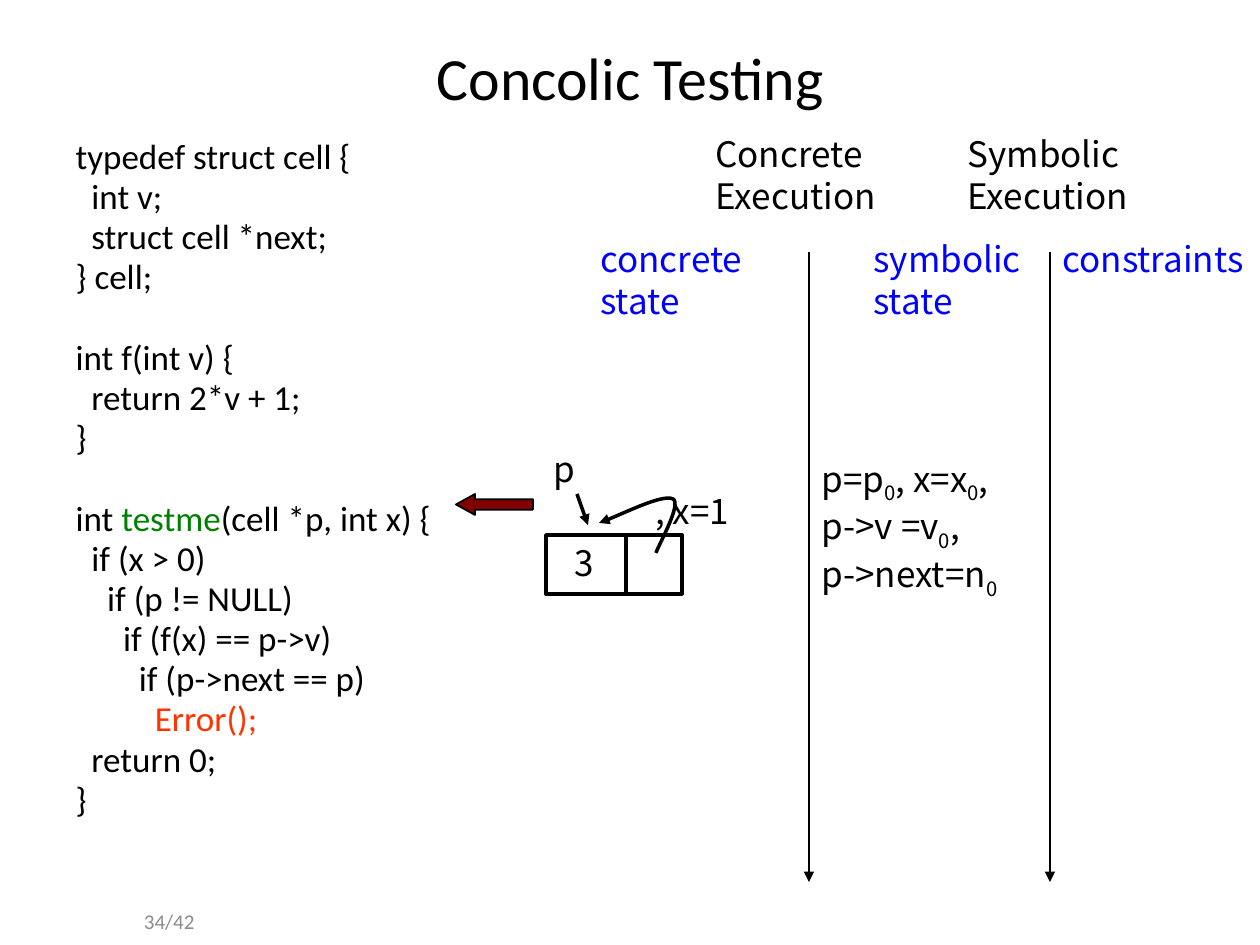
from lxml import etree
from pptx import Presentation
from pptx.dml.color import RGBColor
from pptx.enum.shapes import MSO_CONNECTOR, MSO_SHAPE
from pptx.enum.text import MSO_ANCHOR, MSO_AUTO_SIZE, PP_ALIGN
from pptx.oxml.ns import qn
from pptx.util import Emu, Pt

STRAIGHT = MSO_CONNECTOR.STRAIGHT
RECTANGLE, LEFT_ARROW = MSO_SHAPE.RECTANGLE, MSO_SHAPE.LEFT_ARROW
TOP, MIDDLE = MSO_ANCHOR.TOP, MSO_ANCHOR.MIDDLE
LEFT, CENTER, RIGHT = PP_ALIGN.LEFT, PP_ALIGN.CENTER, PP_ALIGN.RIGHT
NO_AUTOFIT = MSO_AUTO_SIZE.NONE

PX = 914400 / 126
THEME = {
    "code_font": "Calibri",
    "label_font": "Noto Sans CJK KR",
    "black": RGBColor(0x00, 0x00, 0x00),
    "blue": RGBColor(0x00, 0x00, 0xFF),
    "green": RGBColor(0x00, 0x80, 0x00),
    "red": RGBColor(0xFF, 0x33, 0x00),
    "maroon": RGBColor(0x80, 0x00, 0x00),
    "gray": RGBColor(0x8C, 0x8C, 0x8C),
    "title_size": Pt(34.2),
    "text_size": Pt(20),
    "number_size": Pt(12),
}


def write_label(text_frame, lines, color, indents=(0,)):
    text_frame.word_wrap = True
    text_frame.vertical_anchor = TOP
    for index, line in enumerate(lines):
        paragraph = text_frame.paragraphs[0] if index == 0 else text_frame.add_paragraph()
        paragraph.alignment = LEFT
        paragraph._p.get_or_add_pPr().set("marL", str(round(indents[index % len(indents)] * PX)))
        for position, piece in enumerate(line.split("₀")):
            if position:
                subscript = paragraph.add_run()
                subscript.text = "0"
                subscript._r.get_or_add_rPr().set("baseline", "-25000")
            if piece:
                paragraph.add_run().text = piece
        paragraph.font.name = THEME["label_font"]
        paragraph.font.size = THEME["text_size"]
        paragraph.font.color.rgb = color


def style_line(shape, width, arrow=True):
    shape.line.color.rgb = THEME["black"]
    shape.line.width = Pt(width)
    properties = shape._element.spPr
    if arrow:
        etree.SubElement(properties.find(qn("a:ln")), qn("a:tailEnd"), type="triangle")
    etree.SubElement(properties, qn("a:effectLst"))


presentation = Presentation()
presentation.slide_width = Emu(round(1260 * PX))
presentation.slide_height = Emu(round(945 * PX))
slide = presentation.slides.add_slide(presentation.slide_layouts[1])
title, body = slide.placeholders

for placeholder, box in ((title, (63, 38, 1134, 77)), (body, (63, 136, 557, 735))):
    placeholder.left, placeholder.top, placeholder.width, placeholder.height = [
        Emu(round(length * PX)) for length in box
    ]
    placeholder.text_frame.auto_size = NO_AUTOFIT

title.text_frame.text = "Concolic Testing"
title.text_frame.vertical_anchor = MIDDLE
paragraph = title.text_frame.paragraphs[0]
paragraph.alignment = CENTER
paragraph.font.name = THEME["code_font"]
paragraph.font.size = THEME["title_size"]
paragraph.font.color.rgb = THEME["black"]

code_blocks = [
    ["typedef struct cell {", "  int v;", "  struct cell *next;", "} cell;"],
    ["int f(int v) {", "  return 2*v + 1;", "}"],
    [
        "int testme(cell *p, int x) {",
        "  if (x > 0)",
        "    if (p != NULL)",
        "      if (f(x) == p->v)",
        "        if (p->next == p)",
        "          Error();",
        "  return 0;",
        "}",
    ],
]
highlights = {"testme": THEME["green"], "Error();": THEME["red"]}
paragraph = body.text_frame.paragraphs[0]
for block_index, block in enumerate(code_blocks):
    for line_index, line in enumerate(block):
        if block_index or line_index:
            paragraph = body.text_frame.add_paragraph()
            paragraph.space_before = Pt(3.7 if line_index else 26.9)
        else:
            paragraph.space_before = Pt(0)
        paragraph.line_spacing = 0.8
        properties = paragraph._p.get_or_add_pPr()
        properties.set("marL", str(round(48 * PX)))
        properties.set("indent", str(round(-48 * PX)))
        etree.SubElement(properties, qn("a:buNone"))
        paragraph.font.name = THEME["code_font"]
        paragraph.font.size = THEME["text_size"]
        paragraph.font.color.rgb = THEME["black"]
        keyword = next((word for word in highlights if word in line), "")
        pieces = line.partition(keyword) if keyword else (line,)
        for piece in filter(None, pieces):
            run = paragraph.add_run()
            run.text = piece
            if piece in highlights:
                run.font.color.rgb = highlights[piece]

labels = [
    ((703, 126, 210, 97), ["Concrete Execution"], "black", (0,)),
    ((955, 126, 210, 97), ["Symbolic Execution"], "black", (0,)),
    ((588, 231, 189, 97), ["concrete state"], "blue", (0,)),
    ((861, 231, 189, 97), ["symbolic state"], "blue", (0,)),
    ((1050, 231, 210, 54), ["constraints"], "blue", (0,)),
    ((809, 451, 242, 139), ["p=p₀, x=x₀,", "p->v =v₀,", "p->next=n₀"], "black", (0,)),
    ((525, 441, 294, 97), ["p", ", x=1"], "black", (16, 118)),
]
for box, lines, color, indents in labels:
    label = slide.shapes.add_textbox(*[Emu(round(length * PX)) for length in box])
    write_label(label.text_frame, lines, THEME[color], indents)

cell_box = slide.shapes.add_shape(
    RECTANGLE, *[Emu(round(length * PX)) for length in (546, 535, 136, 59)]
)
cell_box.shadow.inherit = False
cell_box.fill.background()
cell_box.line.color.rgb = THEME["black"]
cell_box.line.width = Pt(2)
write_label(cell_box.text_frame, ["3"], THEME["black"], (16,))

connectors = [
    ((809, 252, 809, 882), 1.5, True),
    ((1050, 252, 1050, 882), 1.5, True),
    ((577, 494, 588, 525), 2, True),
    ((626, 594, 626, 535), 2, False),
]
for ends, width, arrow in connectors:
    connector = slide.shapes.add_connector(STRAIGHT, *[Emu(round(length * PX)) for length in ends])
    style_line(connector, width, arrow)

curve_points = [(659, 544), (682, 504), (673, 499), (663, 494), (614, 518), (599, 523)]
builder = slide.shapes.build_freeform(656, 553, scale=PX)
builder.add_line_segments(curve_points, close=False)
next_pointer = builder.convert_to_shape()
segments = next_pointer._element.findall(".//" + qn("a:lnTo"))
for start in range(0, len(segments), 3):
    curve = etree.Element(qn("a:cubicBezTo"))
    segments[start].addprevious(curve)
    for segment in segments[start:start + 3]:
        curve.append(segment[0])
        segment.getparent().remove(segment)
next_pointer.fill.background()
style_line(next_pointer, 2)

current_line = slide.shapes.add_shape(
    LEFT_ARROW, *[Emu(round(length * PX)) for length in (456, 494, 77, 21)]
)
current_line.adjustments[0] = 0.5
current_line.adjustments[1] = 0.91
current_line.fill.solid()
current_line.fill.fore_color.rgb = THEME["maroon"]
style_line(current_line, 1, arrow=False)

page_number = slide.shapes.add_textbox(*[Emu(round(length * PX)) for length in (84, 896, 123, 50)])
page_number.text_frame.word_wrap = True
page_number.text_frame.vertical_anchor = MIDDLE
page_number.text_frame.text = "34/42"
paragraph = page_number.text_frame.paragraphs[0]
paragraph.alignment = RIGHT
paragraph.font.name = THEME["code_font"]
paragraph.font.size = THEME["number_size"]
paragraph.font.color.rgb = THEME["gray"]

presentation.save("out.pptx")
